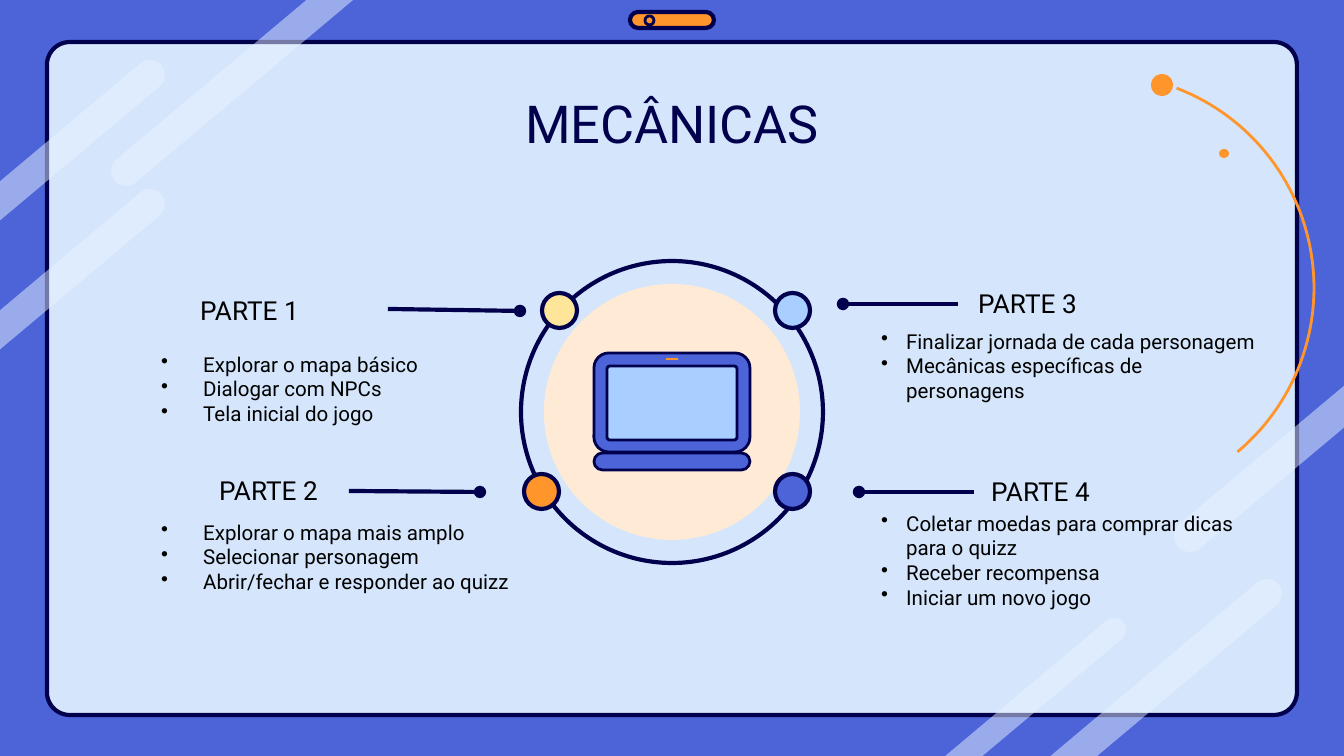
"""Build the game mechanics slide with four parts around a laptop."""
import dataclasses
import math
import typing

import lxml.etree
import pptx
import pptx.dml.color
import pptx.enum.shapes
import pptx.enum.text
import pptx.oxml.ns
import pptx.util

WIDTH, HEIGHT = 1344, 756
SCALE = 914400 / 134.4
RAY_ANGLE = math.radians(40)
NODE_SIZE = 35
HEADING_SIZE = (360, 46)
LIST_WIDTH, LINE_HEIGHT, LIST_PADDING = 403, 25, 13
ROUNDED = pptx.enum.shapes.MSO_SHAPE.ROUNDED_RECTANGLE
OVAL = pptx.enum.shapes.MSO_SHAPE.OVAL
Point = tuple[float, float]
Box = tuple[int, int, int, int]


@dataclasses.dataclass(frozen=True)
class Theme:
    """Colours, font and type sizes of the slide."""
    blue: str = "4C64D8"
    pale_blue: str = "D5E6FC"
    sky: str = "A8CFFF"
    navy: str = "00004D"
    orange: str = "FF952B"
    peach: str = "FFEAD5"
    yellow: str = "FFE599"
    ray: str = "E9F3FF"
    text: str = "000000"
    font: str = "Roboto"
    title_size: int = 28
    heading_size: int = 14
    body_size: int = 11
    line: float = 2.25
    thin_line: float = 1.5


THEME = Theme()


class Ray(typing.NamedTuple):
    """A slanted band with a round cap, running to a slide edge."""
    cap: Point
    radius: int
    heading: int
    axis: int
    edge: int


class Part(typing.NamedTuple):
    """One part: its node, pointer, heading and bullet list."""
    heading: str
    heading_at: tuple[int, int]
    pointer: tuple[int, int, int, int]
    node_at: tuple[int, int]
    node_colour: str
    list_at: tuple[int, int]
    indent: int
    lines: int
    items: tuple[str, ...]


RAYS = (
    Ray((1267, 594), 15, -1, 1, HEIGHT),
    Ray((1114, 630), 12, -1, 1, HEIGHT),
    Ray((126, 171), 15, 1, 1, 0),
    Ray((150, 75), 15, -1, 0, 0),
    Ray((150, 204), 15, -1, 0, 0),
    Ray((1190, 536), 16, 1, 0, WIDTH),
)

PARTS = (
    Part("PARTE 1", (187, 288), (388, 309, 520, 311), (542, 293), THEME.yellow, (148, 345), 42, 3,
         ("Explorar o mapa básico", "Dialogar com NPCs", "Tela inicial do jogo")),
    Part("PARTE 2", (206, 468), (349, 491, 480, 492), (524, 474), THEME.orange, (148, 513), 42, 3,
         ("Explorar o mapa mais amplo", "Selecionar personagem",
          "Abrir/fechar e responder ao quizz")),
    Part("PARTE 3", (965, 281), (958, 304, 843, 304), (775, 293), THEME.sky, (868, 322), 25, 3,
         ("Finalizar jornada de cada personagem", "Mecânicas específicas de personagens")),
    Part("PARTE 4", (978, 469), (974, 492, 859, 492), (775, 474), THEME.blue, (868, 504), 25, 4,
         ("Coletar moedas para comprar dicas para o quizz", "Receber recompensa",
          "Iniciar um novo jogo")),
)


def px(length: float) -> int:
    """Turn pixels into EMU."""
    return round(length * SCALE)


def rgb(colour: str) -> pptx.dml.color.RGBColor:
    """Turn a hexadecimal string into a colour."""
    return pptx.dml.color.RGBColor.from_string(colour)


def paint(shape, fill: str | None, line: str | None = None, width: float = THEME.line) -> None:
    """Set fill and line, and drop the shadow."""
    shape.shadow.inherit = False
    if fill:
        shape.fill.solid()
        shape.fill.fore_color.rgb = rgb(fill)
    else:
        shape.fill.background()
    if line:
        shape.line.color.rgb = rgb(line)
        shape.line.width = pptx.util.Pt(width)
    else:
        shape.line.fill.background()


def add_preset(slide, kind, box: Box, fill: str | None, line: str | None = None,
               width: float = THEME.line, corner: float | None = None) -> None:
    """Draw a preset shape."""
    shape = slide.shapes.add_shape(kind, *map(px, box))
    if corner is not None:
        shape.adjustments[0] = corner
    paint(shape, fill, line, width)


def add_outline(slide, points: list[Point], close: bool):
    """Draw a freeform through the points."""
    vertices = [(px(x), px(y)) for x, y in points]
    builder = slide.shapes.build_freeform(*vertices[0])
    builder.add_line_segments(vertices[1:], close=close)
    return builder.convert_to_shape()


def arc_points(centre: Point, radius: float, start: float, end: float, steps: int) -> list[Point]:
    """Return points along an arc, with angles in radians."""
    angles = [start + (end - start) * step / steps for step in range(steps + 1)]
    return [(centre[0] + radius * math.cos(a), centre[1] + radius * math.sin(a)) for a in angles]


def add_ray(slide, ray: Ray) -> None:
    """Draw a half-transparent ray."""
    direction = (ray.heading * math.cos(RAY_ANGLE), -ray.heading * math.sin(RAY_ANGLE))
    angle = math.atan2(direction[1], direction[0])
    cap = arc_points(ray.cap, ray.radius, angle + math.pi / 2, angle + 3 * math.pi / 2, 16)

    def reach(point: Point) -> Point:
        """Follow the ray from a point to the slide edge."""
        distance = (ray.edge - point[ray.axis]) / direction[ray.axis]
        return point[0] + distance * direction[0], point[1] + distance * direction[1]

    shape = add_outline(slide, [reach(cap[0]), *cap, reach(cap[-1])], True)
    paint(shape, THEME.ray)
    colour = shape.element.spPr.find(".//" + pptx.oxml.ns.qn("a:srgbClr"))
    lxml.etree.SubElement(colour, pptx.oxml.ns.qn("a:alpha"), val="50000")


def add_line(slide, ends: tuple[int, int, int, int], colour: str, width: float,
             dot: bool = False) -> None:
    """Draw a straight line, with a dot at its end if asked."""
    line = slide.shapes.add_connector(pptx.enum.shapes.MSO_CONNECTOR.STRAIGHT, *map(px, ends))
    line.line.color.rgb = rgb(colour)
    line.line.width = pptx.util.Pt(width)
    if dot:
        lxml.etree.SubElement(line.line._get_or_add_ln(), pptx.oxml.ns.qn("a:tailEnd"), type="oval")
    lxml.etree.SubElement(line.element.spPr, pptx.oxml.ns.qn("a:effectLst"))


def style(paragraph, size: int, colour: str) -> None:
    """Set the font of a paragraph."""
    paragraph.font.name = THEME.font
    paragraph.font.size = pptx.util.Pt(size)
    paragraph.font.color.rgb = rgb(colour)


def add_text(slide, box: Box, lines: tuple[str, ...], size: int, indent: int = 0) -> None:
    """Write paragraphs, bulleted when an indent is given."""
    frame = slide.shapes.add_textbox(*map(px, box)).text_frame
    frame.word_wrap = True
    frame.text = "\n".join(lines)
    for paragraph in frame.paragraphs:
        style(paragraph, size, THEME.text)
        if indent:
            properties = paragraph._p.get_or_add_pPr()
            properties.set("marL", str(px(indent)))
            properties.set("indent", str(-px(indent)))
            bullet = lxml.etree.Element(pptx.oxml.ns.qn("a:buChar"), char="•")
            properties.insert(0, bullet)


def add_backdrop(slide) -> None:
    """Draw the window frame, rays, top pill and orange orbit."""
    slide.background.fill.solid()
    slide.background.fill.fore_color.rgb = rgb(THEME.blue)
    add_preset(slide, ROUNDED, (47, 42, 1250, 673), THEME.pale_blue, THEME.navy, corner=0.034)
    for ray in RAYS:
        add_ray(slide, ray)
    add_preset(slide, ROUNDED, (630, 12, 84, 16), THEME.orange, THEME.navy, corner=0.5)
    add_preset(slide, OVAL, (645, 16, 9, 9), None, THEME.navy, THEME.thin_line)
    orbit = arc_points((1100, 288), 214, math.radians(-69), math.radians(50), 60)
    paint(add_outline(slide, orbit, False), None, THEME.orange, THEME.thin_line)
    add_preset(slide, OVAL, (1151, 74, 22, 22), THEME.orange)
    add_preset(slide, OVAL, (1219, 149, 10, 9), THEME.orange)


def add_title(slide, text: str) -> None:
    """Place the title in front of the backdrop."""
    title = slide.shapes.title
    title.left, title.top, title.width, title.height = map(px, (106, 78, 1132, 85))
    frame = title.text_frame
    frame.text = text
    frame.auto_size = pptx.enum.text.MSO_AUTO_SIZE.NONE
    frame.vertical_anchor = pptx.enum.text.MSO_ANCHOR.TOP
    frame.margin_top = frame.margin_bottom = pptx.util.Inches(0.1)
    frame.paragraphs[0].alignment = pptx.enum.text.PP_ALIGN.CENTER
    style(frame.paragraphs[0], THEME.title_size, THEME.navy)
    title.element.getparent().append(title.element)


def add_laptop(slide) -> None:
    """Draw the disc, its ring and the laptop."""
    add_preset(slide, OVAL, (544, 284, 256, 256), THEME.peach)
    add_preset(slide, OVAL, (521, 261, 302, 302), None, THEME.navy)
    for box, fill, corner in (((594, 353, 156, 99), THEME.blue, 0.15),
                              ((607, 366, 130, 74), THEME.sky, 0.04),
                              ((594, 453, 156, 17), THEME.blue, 0.5)):
        add_preset(slide, ROUNDED, box, fill, THEME.navy, THEME.thin_line, corner)
    add_line(slide, (666, 359, 678, 359), THEME.orange, 0.75)


def add_part(slide, part: Part) -> None:
    """Draw one part of the game."""
    add_preset(slide, OVAL, (*part.node_at, NODE_SIZE, NODE_SIZE), part.node_colour, THEME.navy)
    add_line(slide, part.pointer, THEME.navy, THEME.line, dot=True)
    add_text(slide, (*part.heading_at, *HEADING_SIZE), (part.heading,), THEME.heading_size)
    list_height = part.lines * LINE_HEIGHT + LIST_PADDING
    add_text(slide, (*part.list_at, LIST_WIDTH, list_height), part.items,
             THEME.body_size, part.indent)


def main() -> None:
    """Build and save the presentation."""
    presentation = pptx.Presentation()
    presentation.slide_width, presentation.slide_height = px(WIDTH), px(HEIGHT)
    slide = presentation.slides.add_slide(presentation.slide_layouts[5])
    add_backdrop(slide)
    add_title(slide, "MECÂNICAS")
    add_laptop(slide)
    for part in PARTS:
        add_part(slide, part)
    presentation.save("out.pptx")


main()
